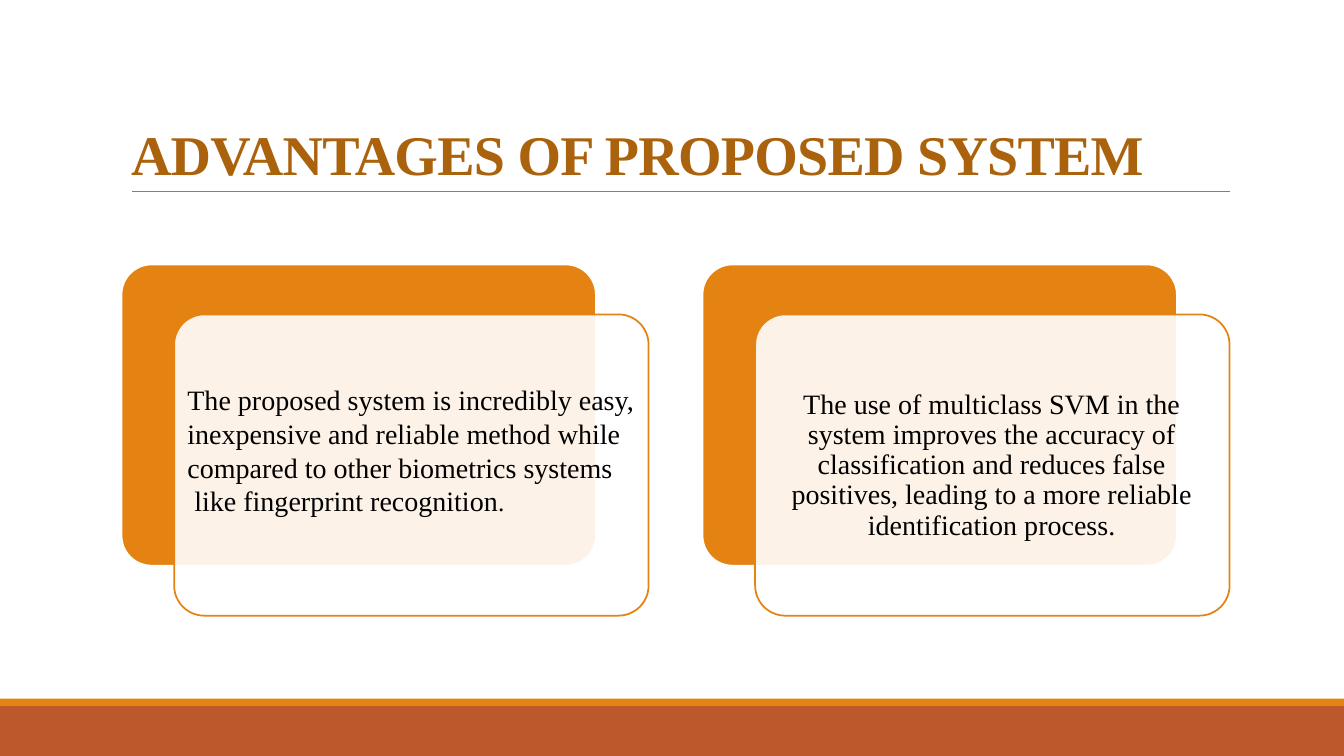
import pptx
import pptx.dml.color
import pptx.enum.shapes
import pptx.enum.text
import pptx.util
import lxml.etree
from pptx.oxml.ns import qn

Pt = pptx.util.Pt
SHAPES = pptx.enum.shapes.MSO_SHAPE
ALIGN = pptx.enum.text.PP_ALIGN
ANCHOR = pptx.enum.text.MSO_ANCHOR
AUTO_SIZE = pptx.enum.text.MSO_AUTO_SIZE

ORANGE, RUST, BROWN = "E48312", "BD582C", "AB620D"
WHITE, BLACK, GREY = "FFFFFF", "000000", "808080"


def color(hex_string):
    return pptx.dml.color.RGBColor.from_string(hex_string)


def apply(target, values):
    for name, value in values.items():
        setattr(target, name, value)


class SlideBuilder:
    """Holds the text style and the current slide."""

    def __init__(self, slide, font_name):
        self.slide = slide
        self.font_name = font_name

    def format_font(self, font, size, hex_string, bold=False):
        apply(font, {"name": self.font_name, "size": Pt(size), "bold": bold})
        font.color.rgb = color(hex_string)

    def title(self, text, box, size, hex_string, spacing):
        shape = self.slide.shapes.title
        apply(shape, dict(zip(("left", "top", "width", "height"), map(Pt, box))))
        apply(shape.text_frame, {"text": text, "word_wrap": True,
                                 "auto_size": AUTO_SIZE.NONE,
                                 "vertical_anchor": ANCHOR.BOTTOM})
        paragraph = shape.text_frame.paragraphs[0]
        apply(paragraph, {"alignment": ALIGN.LEFT, "line_spacing": 0.85})
        run = paragraph.runs[0]
        self.format_font(run.font, size, hex_string, bold=True)
        run.font._element.set("spc", str(round(spacing * 100)))

    def shape(self, kind, box, fill, line=None, opacity=None):
        shape = self.slide.shapes.add_shape(kind, *map(Pt, box))
        shape.shadow.inherit = False
        shape.fill.solid()
        shape.fill.fore_color.rgb = color(fill)
        if opacity is not None:
            fill_color = shape.fill._xPr.find(qn("a:solidFill"))[0]
            alpha = lxml.etree.SubElement(fill_color, qn("a:alpha"))
            alpha.set("val", str(opacity * 1000))
        if line:
            shape.line.color.rgb = color(line)
            shape.line.width = Pt(1.25)
        else:
            shape.line.fill.background()
        return shape

    def card(self, box, fill, line, opacity=None):
        shape = self.shape(SHAPES.ROUNDED_RECTANGLE, box, fill, line, opacity)
        shape.adjustments[0] = 0.1

    def rule(self, left, top, right, hex_string, width):
        line = self.slide.shapes.add_connector(
            pptx.enum.shapes.MSO_CONNECTOR.STRAIGHT,
            Pt(left), Pt(top), Pt(right), Pt(top))
        line.line.color.rgb = color(hex_string)
        line.line.width = Pt(width)
        lxml.etree.SubElement(line._element.spPr, qn("a:effectLst"))

    def text(self, lines, box, frame_format, paragraph_format):
        frame = self.slide.shapes.add_textbox(*map(Pt, box)).text_frame
        apply(frame, frame_format)
        for number, runs in enumerate(lines):
            paragraph = frame.paragraphs[0] if number == 0 else frame.add_paragraph()
            apply(paragraph, paragraph_format)
            for text, size in runs:
                run = paragraph.add_run()
                run.text = text
                self.format_font(run.font, size, BLACK)


def main():
    presentation = pptx.Presentation()
    apply(presentation, {"slide_width": Pt(960), "slide_height": Pt(540)})
    slide = presentation.slides.add_slide(presentation.slide_layouts[5])
    builder = SlideBuilder(slide, "Times New Roman")

    # Footer bands
    builder.shape(SHAPES.RECTANGLE, (0, 504, 960, 36), RUST)
    builder.shape(SHAPES.RECTANGLE, (0, 499, 960, 5.5), ORANGE)

    # Title and the rule below it
    builder.rule(94.3, 136.6, 878.8, GREY, 0.5)
    builder.title("ADVANTAGES OF PROPOSED SYSTEM", (86.4, 22.6, 792, 114.2),
                  40, BROWN, -0.5)

    # Two cards, each an orange back with a translucent front
    left, top, width, height = 86.8, 188.9, 338.9, 215.2
    pitch, shift_right, shift_down = 415, 37.6, 35.7
    for column in range(2):
        card_left = left + column * pitch
        builder.card((card_left, top, width, height), ORANGE, WHITE)
        builder.card((card_left + shift_right, top + shift_down, width, height),
                     WHITE, ORANGE, opacity=90)

    # Card texts
    builder.text(
        [[("The proposed system is incredibly easy,", 20)],
         [("inexpensive and reliable method while", 20)],
         [("compared to other biometrics systems", 20)],
         [(" like fingerprint recognition", 20), (".", 18)]],
        (126.8, 270, 340.6, 104.4),
        {"word_wrap": False, "auto_size": AUTO_SIZE.SHAPE_TO_FIT_TEXT},
        {"alignment": ALIGN.LEFT})
    margins = dict.fromkeys(
        ("margin_left", "margin_top", "margin_right", "margin_bottom"), Pt(6))
    builder.text(
        [[("The use of multiclass SVM in the system improves the accuracy of "
           "classification and reduces false positives, leading to a more "
           "reliable identification process.", 20)]],
        (545, 231, 326.9, 203),
        {"word_wrap": True, "vertical_anchor": ANCHOR.MIDDLE, **margins},
        {"alignment": ALIGN.CENTER, "line_spacing": 0.9})

    presentation.save("out.pptx")


if __name__ == "__main__":
    main()
